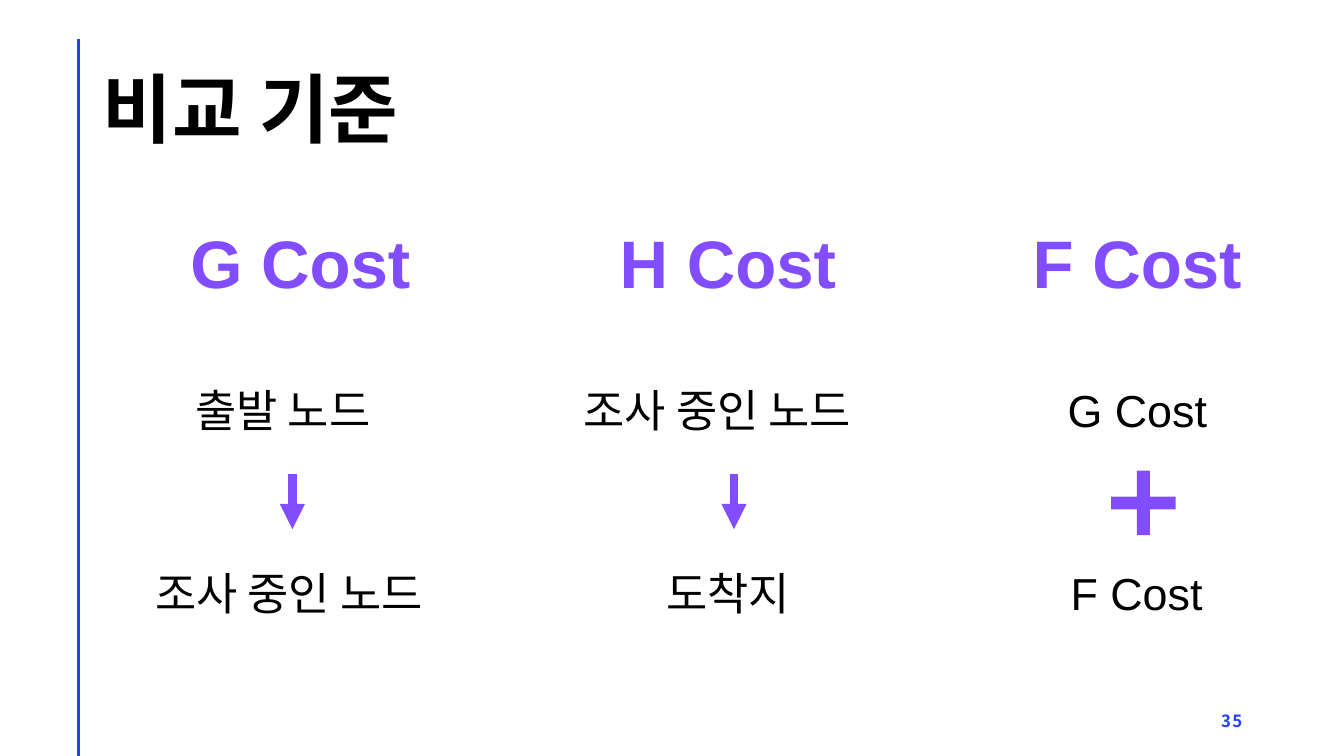
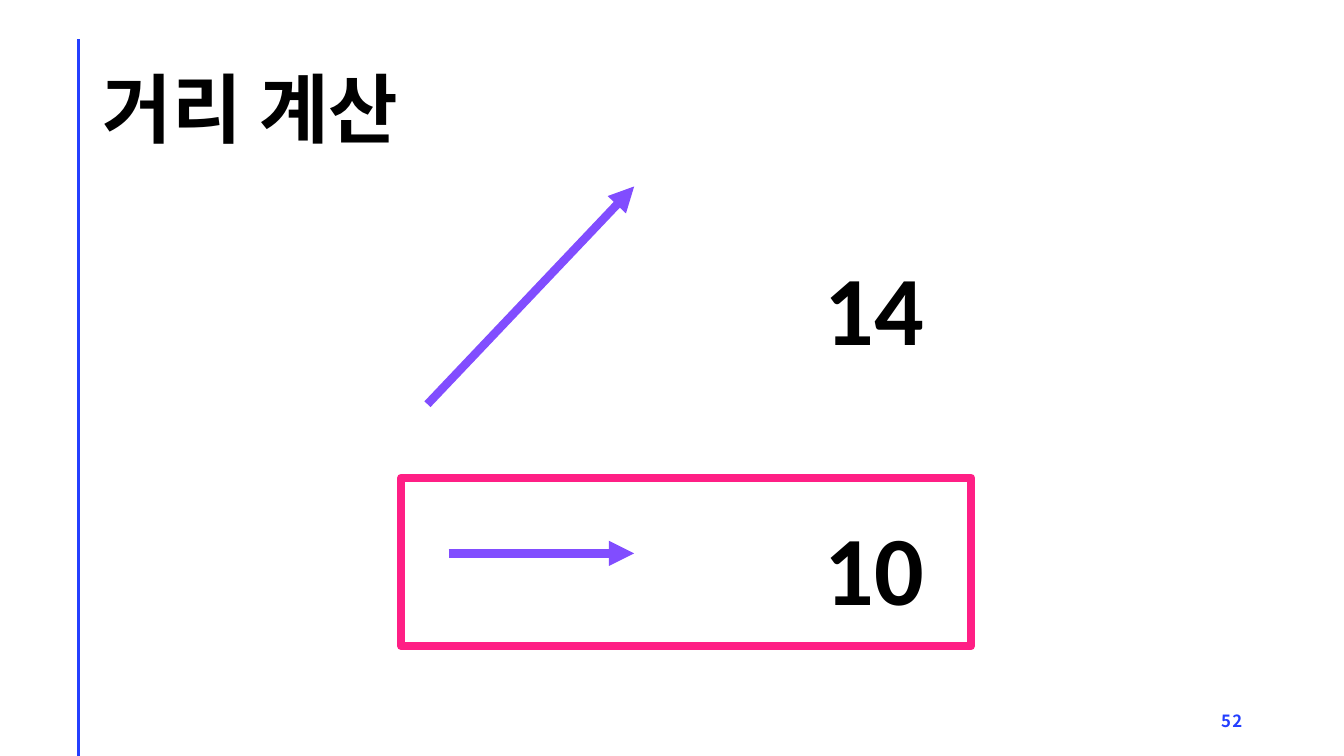
from dataclasses import dataclass

from lxml import etree
from pptx import Presentation
from pptx import util as u
from pptx.dml.color import RGBColor
from pptx.enum import shapes, text
from pptx.oxml.ns import qn

BLUE, PURPLE, PINK, BLACK = "243FFF", "814DFF", "FF1F85", "000000"
KOREAN, LATIN, NUMERAL = "Noto Sans CJK KR", "Arial", "Calibri"
HEADING_TOP, HEADING_WIDTH = 1.75, 2.64
UPPER_TOP, LOWER_TOP, TERM_HEIGHT = 3.75, 5.56, 0.64
ARROW_TOP, ARROW_BOTTOM = 4.7, 5.25
PLUS_TOP, PLUS_SIZE = 4.67, 0.64


@dataclass(frozen=True)
class Style:
    font: str
    size: float
    color: str = BLACK
    bold: bool = False
    align: text.PP_ALIGN = text.PP_ALIGN.LEFT
    anchor: text.MSO_ANCHOR = text.MSO_ANCHOR.TOP
    line_spacing: float = 1.0
    tracking: float = 0


@dataclass(frozen=True)
class Term:
    label: str
    left: float
    width: float


@dataclass(frozen=True)
class CostColumn:
    heading: str
    left: float
    upper: Term
    lower: Term
    symbol_x: float
    is_sum: bool = False


@dataclass(frozen=True)
class Distance:
    start: tuple[float, float]
    end: tuple[float, float]
    value: str
    value_top: float


TITLE = Style(KOREAN, 54, bold=True, anchor=text.MSO_ANCHOR.MIDDLE, line_spacing=0.9)
PAGE_NUMBER = Style(KOREAN, 12, BLUE, True, text.PP_ALIGN.RIGHT,
                    text.MSO_ANCHOR.MIDDLE, tracking=1)
HEADING = Style(LATIN, 48, PURPLE, True, text.PP_ALIGN.CENTER, line_spacing=1.5)
TERM = Style(LATIN, 32)
VALUE = Style(NUMERAL, 70, bold=True)

COLUMNS = [
    CostColumn("G Cost", 1.66, Term("출발 노드", 1.84, 2.12),
               Term("조사 중인 노드", 1.44, 3.14), 2.9),
    CostColumn("H Cost", 5.9, Term("조사 중인 노드", 5.69, 3.19),
               Term("도착지", 6.51, 1.55), 7.28),
    CostColumn("F Cost", 9.96, Term("G Cost", 10.49, 1.7),
               Term("F Cost", 10.52, 1.7), 11.34, is_sum=True),
]
DISTANCES = [
    Distance((4.24, 4.01), (6.29, 1.85), "14", 2.41),
    Distance((4.45, 5.49), (6.29, 5.49), "10", 4.99),
]


def rgb(color: str) -> RGBColor:
    return RGBColor.from_string(color)


def write(shape, words: str, style: Style) -> None:
    frame = shape.text_frame
    frame.word_wrap = True
    frame.vertical_anchor = style.anchor
    frame.text = words
    para = frame.paragraphs[0]
    para.alignment = style.align
    para.line_spacing = style.line_spacing
    span = para.runs[0]
    span.font.name = style.font
    span.font.size = u.Pt(style.size)
    span.font.bold = style.bold
    span.font.color.rgb = rgb(style.color)
    properties = span.font._element
    etree.SubElement(properties, qn("a:ea")).set("typeface", KOREAN)
    if style.tracking:
        properties.set("spc", str(int(style.tracking * 100)))


def add_text(parent, words: str, style: Style, left: float, top: float,
             width: float, height: float) -> None:
    box = parent.add_textbox(*map(u.Inches, (left, top, width, height)))
    write(box, words, style)


def add_line(parent, start: tuple[float, float], end: tuple[float, float],
             color: str, weight: float, arrow: bool = False) -> None:
    line = parent.add_connector(shapes.MSO_CONNECTOR.STRAIGHT,
                                *map(u.Inches, (*start, *end)))
    line.line.color.rgb = rgb(color)
    line.line.width = u.Pt(weight)
    properties = line._element.spPr
    if arrow:
        outline = properties.find(qn("a:ln"))
        etree.SubElement(outline, qn("a:tailEnd")).set("type", "triangle")
    etree.SubElement(properties, qn("a:effectLst"))


def add_page(deck, title: str, number: int):
    """Add a slide with the shared margin rule, title and page number."""
    page = deck.slides.add_slide(deck.slide_layouts[5])
    heading = page.shapes.title
    heading.left, heading.top = u.Inches(0.92), u.Inches(0.4)
    heading.width, heading.height = u.Inches(11.5), u.Inches(1.45)
    write(heading, title, TITLE)
    add_line(page.shapes, (0.78, 0.39), (0.78, 7.5), BLUE, 2)
    add_text(page.shapes, str(number), PAGE_NUMBER, 9.42, 6.95, 3, 0.4)
    return page


def add_plus(parent, center_x: float) -> None:
    plus = parent.add_shape(
        shapes.MSO_SHAPE.CROSS, u.Inches(center_x - PLUS_SIZE / 2),
        u.Inches(PLUS_TOP), u.Inches(PLUS_SIZE), u.Inches(PLUS_SIZE))
    plus.adjustments[0] = 0.4
    plus.shadow.inherit = False
    plus.fill.solid()
    plus.fill.fore_color.rgb = rgb(PURPLE)
    plus.line.fill.background()


def add_column(page, column: CostColumn) -> None:
    add_text(page.shapes, column.heading, HEADING, column.left, HEADING_TOP,
             HEADING_WIDTH, 1.18)
    group = page.shapes.add_group_shape().shapes
    for term, top in ((column.upper, UPPER_TOP), (column.lower, LOWER_TOP)):
        add_text(group, term.label, TERM, term.left, top, term.width, TERM_HEIGHT)
    if column.is_sum:
        add_plus(group, column.symbol_x)
    else:
        add_line(group, (column.symbol_x, ARROW_TOP),
                 (column.symbol_x, ARROW_BOTTOM), PURPLE, 6, arrow=True)


def add_highlight(page, left: float, top: float, width: float, height: float) -> None:
    frame = page.shapes.add_shape(shapes.MSO_SHAPE.RECTANGLE,
                                  *map(u.Inches, (left, top, width, height)))
    frame.shadow.inherit = False
    frame.fill.background()
    frame.line.color.rgb = rgb(PINK)
    frame.line.width = u.Pt(6)


def main() -> None:
    deck = Presentation()
    deck.slide_width, deck.slide_height = u.Inches(13.33), u.Inches(7.5)

    criteria = add_page(deck, "비교 기준", 35)
    for column in COLUMNS:
        add_column(criteria, column)

    distances = add_page(deck, "거리 계산", 52)
    for distance in DISTANCES:
        add_line(distances.shapes, distance.start, distance.end, PURPLE, 6, arrow=True)
        add_text(distances.shapes, distance.value, VALUE, 8.08,
                 distance.value_top, 1.3, 1.28)
    add_highlight(distances, 3.98, 4.74, 5.65, 1.67)

    deck.save("out.pptx")


if __name__ == "__main__":
    main()
